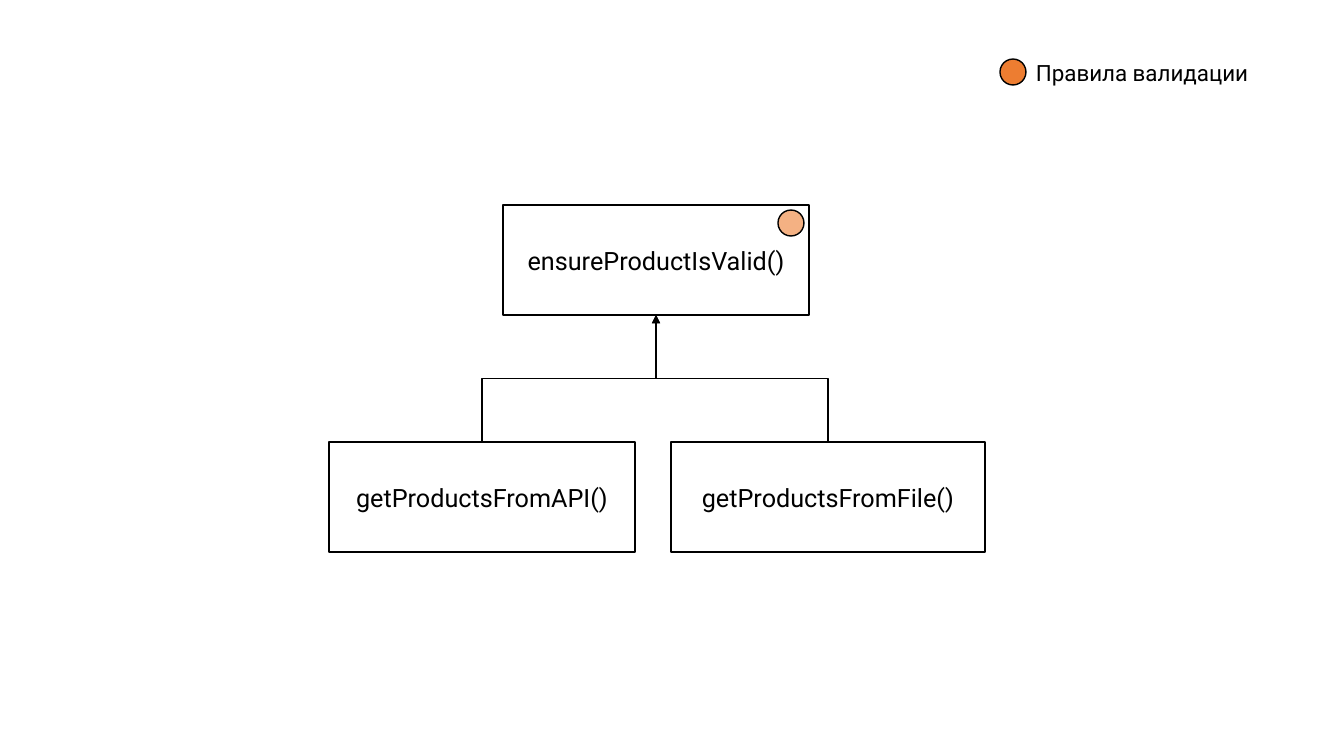
from pptx import Presentation
from pptx.dml.color import RGBColor
from pptx.enum.shapes import MSO_CONNECTOR as CONNECTOR, MSO_SHAPE as SHAPE
from pptx.enum.text import MSO_ANCHOR as ANCHOR, PP_ALIGN as ALIGN
from pptx.oxml.ns import qn
from pptx.util import Emu, Pt
from lxml.etree import SubElement

# Content: label and left, top, width, height in px
VALIDATOR = ("ensureProductIsValid()", (503, 205, 306, 110))
SOURCES = [
    ("getProductsFromAPI()", (329, 442, 306, 110)),
    ("getProductsFromFile()", (671, 442, 314, 110)),
]
RULES_MARK = (778, 210, 26, 26)
LEGEND_MARK = (1000, 59, 26, 26)
LEGEND = ("Правила валидации", (1026, 54, 243, 37))

COLORS = {"ink": "000000", "paper": "FFFFFF", "rules": "ED7D31", "rules_light": "F4B183"}
FONT = "Roboto"
PX = 9144000 / 1008


def px(*lengths):
    return [Emu(round(length * PX)) for length in lengths]


def color(name):
    return RGBColor.from_string(COLORS[name])


def write(frame, text, size, align):
    paragraph = frame.paragraphs[0]
    paragraph.alignment = align
    run = paragraph.add_run()
    run.text = text
    run.font.size = Pt(size)
    run.font.name = FONT
    run.font.color.rgb = color("ink")


def add_outlined(kind, area, fill, line_width):
    shape = slide.shapes.add_shape(kind, *px(*area))
    shape.shadow.inherit = False
    shape.fill.solid()
    shape.fill.fore_color.rgb = color(fill)
    shape.line.color.rgb = color("ink")
    shape.line.width = Pt(line_width)
    return shape


def add_function(name, area):
    box = add_outlined(SHAPE.RECTANGLE, area, "paper", 1.5)
    box.text_frame.vertical_anchor = ANCHOR.MIDDLE
    write(box.text_frame, name, 18, ALIGN.CENTER)
    return box


def add_call(caller, callee):
    """Elbow arrow from the caller's top centre up to the callee's bottom centre."""
    start_x = caller.left + caller.width // 2
    end_x = callee.left + callee.width // 2
    end_y = callee.top + callee.height
    rise, span = caller.top - end_y, abs(start_x - end_x)

    arrow = slide.shapes.add_connector(CONNECTOR.ELBOW, 0, 0, 0, 0)
    arrow.begin_connect(caller, 0)
    arrow.end_connect(callee, 2)

    # A vertical elbow is a horizontal one turned by 270 degrees about its centre
    arrow.width, arrow.height = Emu(rise), Emu(span)
    arrow.left = Emu((start_x + end_x - rise) // 2)
    arrow.top = Emu((caller.top + end_y - span) // 2)
    properties = arrow._element.spPr
    frame = properties.find(qn("a:xfrm"))
    frame.set("rot", str(270 * 60000))
    frame.set("flipH", "0")
    frame.set("flipV", "1" if start_x > end_x else "0")

    arrow.line.color.rgb = color("ink")
    arrow.line.width = Pt(1.25)
    SubElement(properties.find(qn("a:ln")), qn("a:tailEnd"), type="triangle")
    SubElement(properties, qn("a:effectLst"))


deck = Presentation()
deck.slide_width, deck.slide_height = px(1344, 756)
slide = deck.slides.add_slide(deck.slide_layouts[6])

# Functions and the rules mark
sources = [add_function(*source) for source in SOURCES]
validator = add_function(*VALIDATOR)
add_outlined(SHAPE.OVAL, RULES_MARK, "rules_light", 1)

# Calls
for source in sources:
    add_call(source, validator)

# Legend
add_outlined(SHAPE.OVAL, LEGEND_MARK, "rules", 1)
legend_text, legend_area = LEGEND
legend = slide.shapes.add_textbox(*px(*legend_area))
legend.text_frame.word_wrap = False
write(legend.text_frame, legend_text, 16, ALIGN.LEFT)

deck.save("out.pptx")
